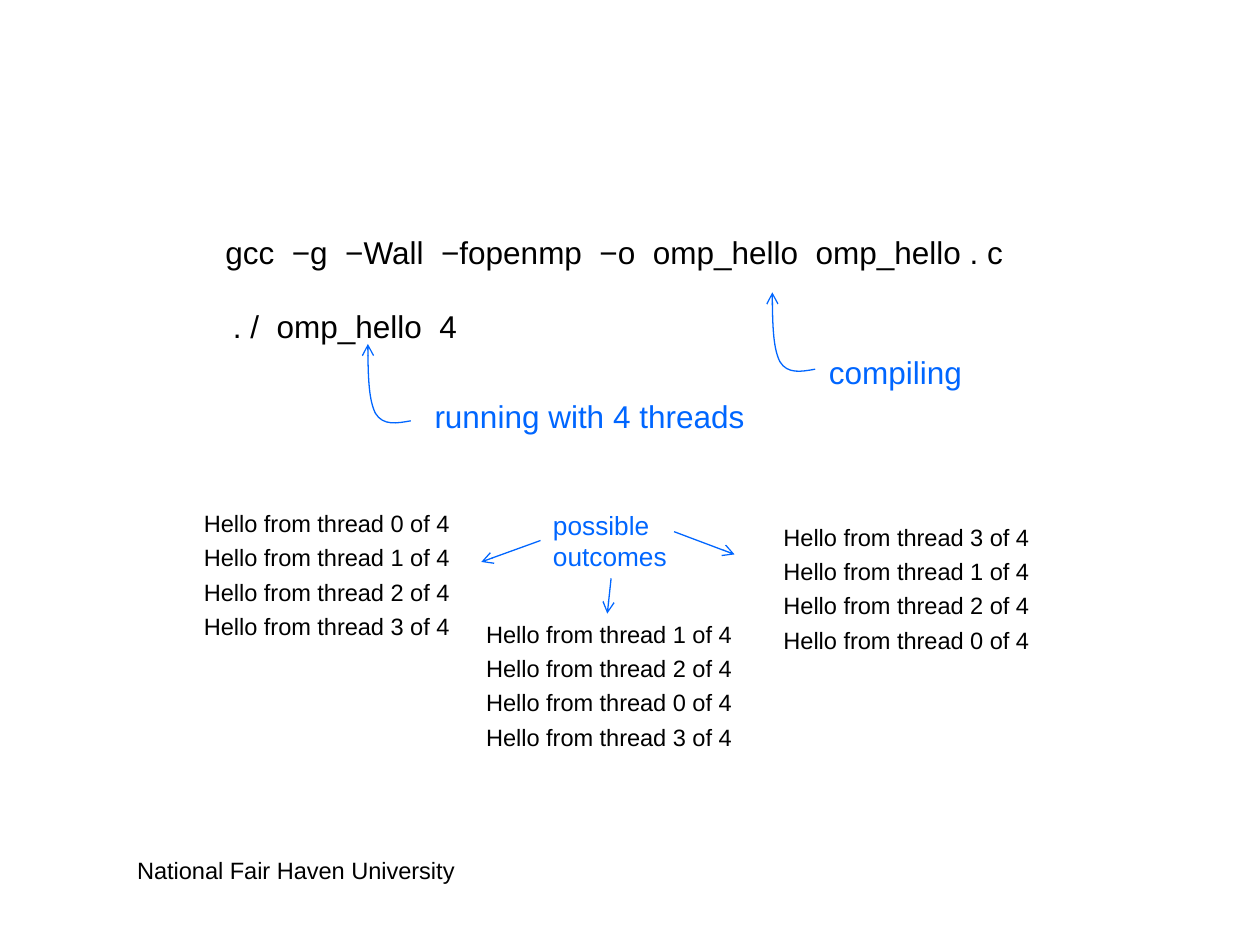
from lxml import etree
from pptx import Presentation
from pptx.dml.color import RGBColor
from pptx.enum.shapes import MSO_CONNECTOR
from pptx.enum.text import MSO_AUTO_SIZE
from pptx.oxml.ns import qn
from pptx.util import Inches, Pt

COLORS = {"text": "000000", "note": "0066FF"}
COLUMNS, ROWS = 100, 75
BLANK_LAYOUT = 6


class SlideBuilder:
    font = "Arial"
    line_width = Pt(0.75)
    space_share = 0.25

    def __init__(self, deck):
        self.slide = deck.slides.add_slide(deck.slide_layouts[BLANK_LAYOUT])
        self.column = deck.slide_width / COLUMNS
        self.row = deck.slide_height / ROWS

    def place(self, column, row):
        return round(column * self.column), round(row * self.row)

    def text(self, at, extent, paragraphs, size, color="text"):
        """Write paragraphs, each one a list of lines."""
        box = self.slide.shapes.add_textbox(*self.place(*at), *self.place(*extent))
        frame = box.text_frame
        frame.word_wrap = True
        frame.auto_size = MSO_AUTO_SIZE.SHAPE_TO_FIT_TEXT
        for index, lines in enumerate(paragraphs):
            paragraph = frame.add_paragraph() if index else frame.paragraphs[0]
            paragraph.space_before = Pt(round(size * self.space_share, 1))
            for number, line in enumerate(lines):
                if number:
                    paragraph.add_line_break()
                run = paragraph.add_run()
                run.text = line
                run.font.name = self.font
                run.font.size = Pt(size)
                run.font.color.rgb = RGBColor.from_string(COLORS[color])

    def output(self, at, width, threads):
        lines = [[f"Hello from thread {thread} of {len(threads)}"] for thread in threads]
        self.text(at, (width, 11.5), lines, 13.5)

    def style_arrow(self, arrow):
        arrow.line.color.rgb = RGBColor.from_string(COLORS["note"])
        arrow.line.width = self.line_width
        outline = arrow.line._get_or_add_ln()
        etree.SubElement(outline, qn("a:tailEnd"), type="arrow")

    def arrow(self, start, end):
        connector = self.slide.shapes.add_connector(
            MSO_CONNECTOR.STRAIGHT, *self.place(*start), *self.place(*end))
        self.style_arrow(connector)
        etree.SubElement(connector._element.spPr, qn("a:effectLst"))

    def curved_arrow(self, start, offsets):
        """Draw cubic curves; each three offsets from start are two controls and an end."""
        column, row = start
        points = [self.place(column + dx, row + dy) for dx, dy in offsets]
        builder = self.slide.shapes.build_freeform(*self.place(*start))
        builder.add_line_segments(points, close=False)
        curve = builder.convert_to_shape()
        curve.shadow.inherit = False
        curve.fill.background()
        self.style_arrow(curve)
        outline = next(curve._element.iter(qn("a:path")))
        segments = outline.findall(qn("a:lnTo"))
        for first in range(0, len(segments), 3):
            bezier = etree.SubElement(outline, qn("a:cubicBezTo"))
            for segment in segments[first:first + 3]:
                bezier.append(segment[0])
                outline.remove(segment)


def main():
    deck = Presentation()
    deck.slide_width, deck.slide_height = Inches(10), Inches(7.5)
    page = SlideBuilder(deck)

    page.text((9.9, 67.4), (53.5, 3.3), [["National Fair Haven University"]], 13.5)

    commands = [
        ((16.9, 18), 63.8, "gcc  −g  −Wall  −fopenmp  −o  omp_hello  omp_hello . c", "text"),
        ((17.5, 23.9), 20, ". /  omp_hello  4", "text"),
        ((64.8, 27.5), 12.7, "compiling", "note"),
        ((33.5, 31), 26.8, "running with 4 threads", "note"),
    ]
    for at, width, words, color in commands:
        page.text(at, (width, 4), [[words]], 18, color)

    bend = [(-1.1, 0.2), (-2.2, 0.4), (-2.8, -0.6),
            (-3.3, -1.6), (-3.4, -3.8), (-3.4, -6.1)]
    for start in [(32.6, 33.4), (64.7, 29.3)]:
        page.curved_arrow(start, bend)

    outcomes = [
        ((15.2, 39.9), 25.4, (0, 1, 2, 3)),
        ((37.6, 48.7), 23.5, (1, 2, 0, 3)),
        ((61.2, 41), 21.7, (3, 1, 2, 0)),
    ]
    for at, width, threads in outcomes:
        page.output(at, width, threads)

    page.text((42.9, 39.9), (11.2, 6.1), [["possible", "outcomes"]], 15, "note")
    for start, end in [((42.9, 42.9), (38.2, 44.6)),
                       ((53.5, 42.2), (58.3, 44)),
                       ((48.5, 45.9), (48.2, 48.7))]:
        page.arrow(start, end)

    deck.save("out.pptx")


if __name__ == "__main__":
    main()
